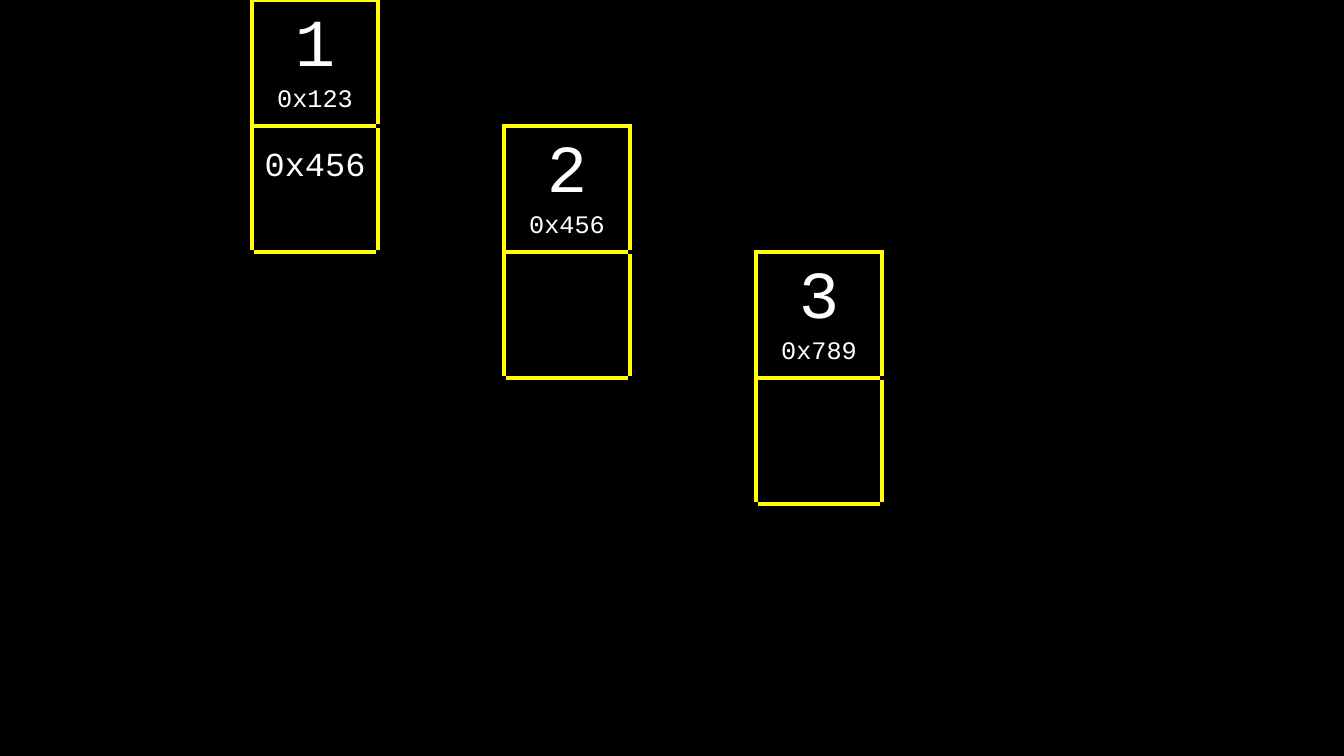
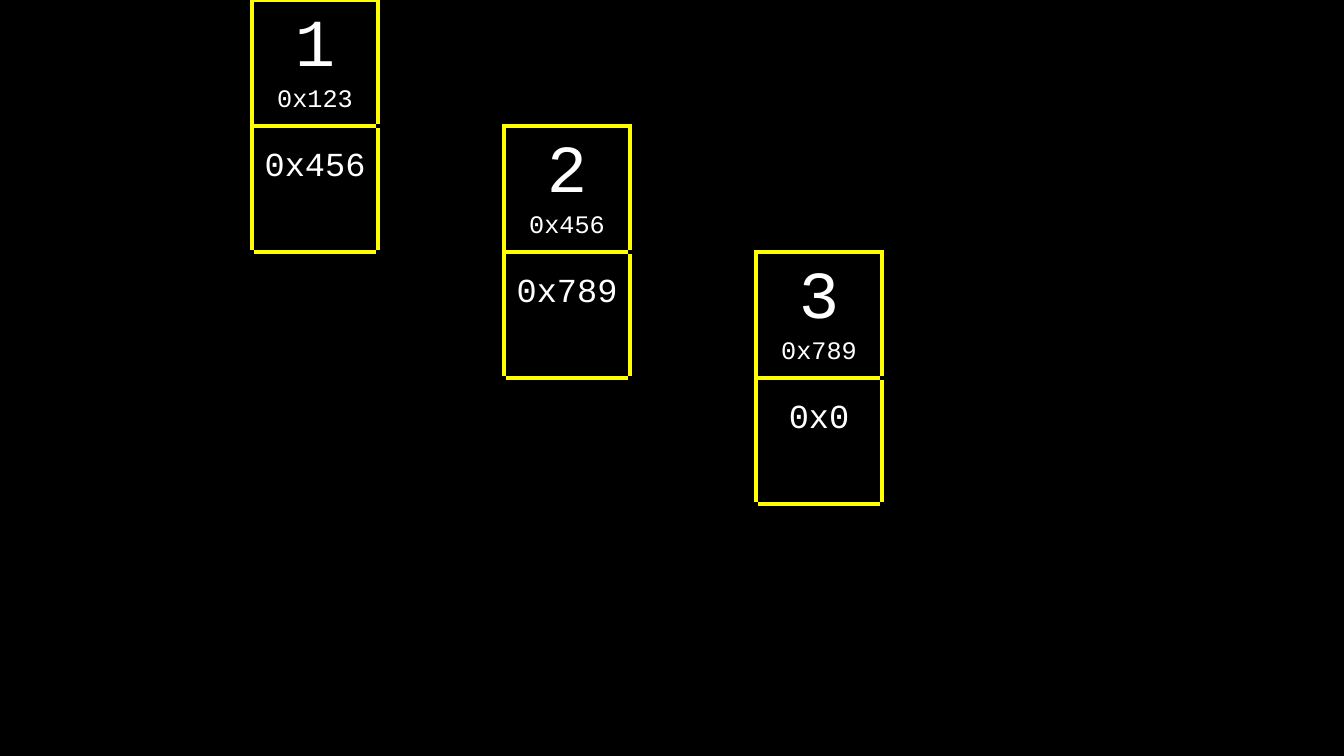
from dataclasses import dataclass
from typing import Any, Optional

import pptx
import pptx.dml.color
import pptx.enum.text
import pptx.oxml
import pptx.oxml.ns
import pptx.util

EMU_PER_PX = 914400 / 100.8
PAGE_WIDTH, PAGE_HEIGHT = 1344, 756
CELL = 126
COLUMNS, ROWS = 8, 5
MARGIN = 10
POINTER_LIFT = 65  # space kept below a pointer

Place = tuple[int, int]  # row, column
SIDES: dict[str, Place] = {"L": (0, -1), "R": (0, 1), "T": (-1, 0), "B": (1, 0)}


@dataclass(frozen=True)
class Theme:
    background: str = "000000"
    text: str = "FFFFFF"
    outline: str = "FFFF00"
    font: str = "Courier New"
    value_size: int = 48
    address_size: int = 18
    pointer_size: int = 24
    border_points: int = 3


@dataclass(frozen=True)
class Node:
    """A linked-list node: a value cell above a pointer cell."""
    value: str
    address: str
    row: int
    column: int
    pointer: Optional[str] = None

    def places(self) -> list[Place]:
        return [(self.row, self.column), (self.row + 1, self.column)]


THEME = Theme()
VALUES = (("1", "0x123"), ("2", "0x456"), ("3", "0x789"))
POINTERS_BY_PAGE = (("0x456", None, None), ("0x456", "0x789", "0x0"))


def px(length: int) -> pptx.util.Emu:
    return pptx.util.Emu(round(length * EMU_PER_PX))


def rgb(colour: str) -> pptx.dml.color.RGBColor:
    return pptx.dml.color.RGBColor.from_string(colour)


def write(para: Any, text: str, *, size: int) -> None:
    para.alignment = pptx.enum.text.PP_ALIGN.CENTER
    span = para.add_run()
    span.text = text
    span.font.name = THEME.font
    span.font.size = pptx.util.Pt(size)
    span.font.color.rgb = rgb(THEME.text)


def set_border(cell: Any, side: str, colour: str) -> None:
    width = pptx.util.Pt(THEME.border_points)
    line = pptx.oxml.parse_xml(
        f'<a:ln{side} {pptx.oxml.ns.nsdecls("a")} w="{width}">'
        f'<a:solidFill><a:srgbClr val="{colour}"/></a:solidFill></a:ln{side}>')
    cell._tc.get_or_add_tcPr().append(line)


def style_cell(cell: Any, place: Place, occupied: set[Place]) -> None:
    """Outline every edge that touches a node and blend the others in."""
    row, column = place
    for side, (down, across) in SIDES.items():
        touches = place in occupied or (row + down, column + across) in occupied
        set_border(cell, side, THEME.outline if touches else THEME.background)
    cell.fill.background()
    cell.margin_left = cell.margin_right = px(MARGIN)
    cell.margin_top = cell.margin_bottom = px(MARGIN)


def fill_node(table: Any, node: Node) -> None:
    top, bottom = (table.cell(*place) for place in node.places())
    top.vertical_anchor = pptx.enum.text.MSO_ANCHOR.MIDDLE
    write(top.text_frame.paragraphs[0], node.value, size=THEME.value_size)
    write(top.text_frame.add_paragraph(), node.address, size=THEME.address_size)
    if node.pointer:
        bottom.vertical_anchor = pptx.enum.text.MSO_ANCHOR.BOTTOM
        bottom.margin_bottom = px(POINTER_LIFT)
        write(bottom.text_frame.paragraphs[0], node.pointer, size=THEME.pointer_size)


def add_memory_grid(page: Any, nodes: list[Node]) -> None:
    table = page.shapes.add_table(
        ROWS, COLUMNS, 0, 0, px(COLUMNS * CELL), px(ROWS * CELL)).table
    table.first_row = table.horz_banding = False
    for column in table.columns:
        column.width = px(CELL)
    for row in table.rows:
        row.height = px(CELL)
    occupied = {place for node in nodes for place in node.places()}
    for row in range(ROWS):
        for column in range(COLUMNS):
            style_cell(table.cell(row, column), (row, column), occupied)
    for node in nodes:
        fill_node(table, node)


def main() -> None:
    deck = pptx.Presentation()
    deck.slide_width, deck.slide_height = px(PAGE_WIDTH), px(PAGE_HEIGHT)
    backdrop = deck.slide_master.background.fill
    backdrop.solid()
    backdrop.fore_color.rgb = rgb(THEME.background)
    blank = deck.slide_layouts.get_by_name("Blank")
    for pointers in POINTERS_BY_PAGE:
        nodes = [Node(value, address, step, 2 + 2 * step, pointer)
                 for step, ((value, address), pointer)
                 in enumerate(zip(VALUES, pointers))]
        add_memory_grid(deck.slides.add_slide(blank), nodes)
    deck.save("out.pptx")


if __name__ == "__main__":
    main()
